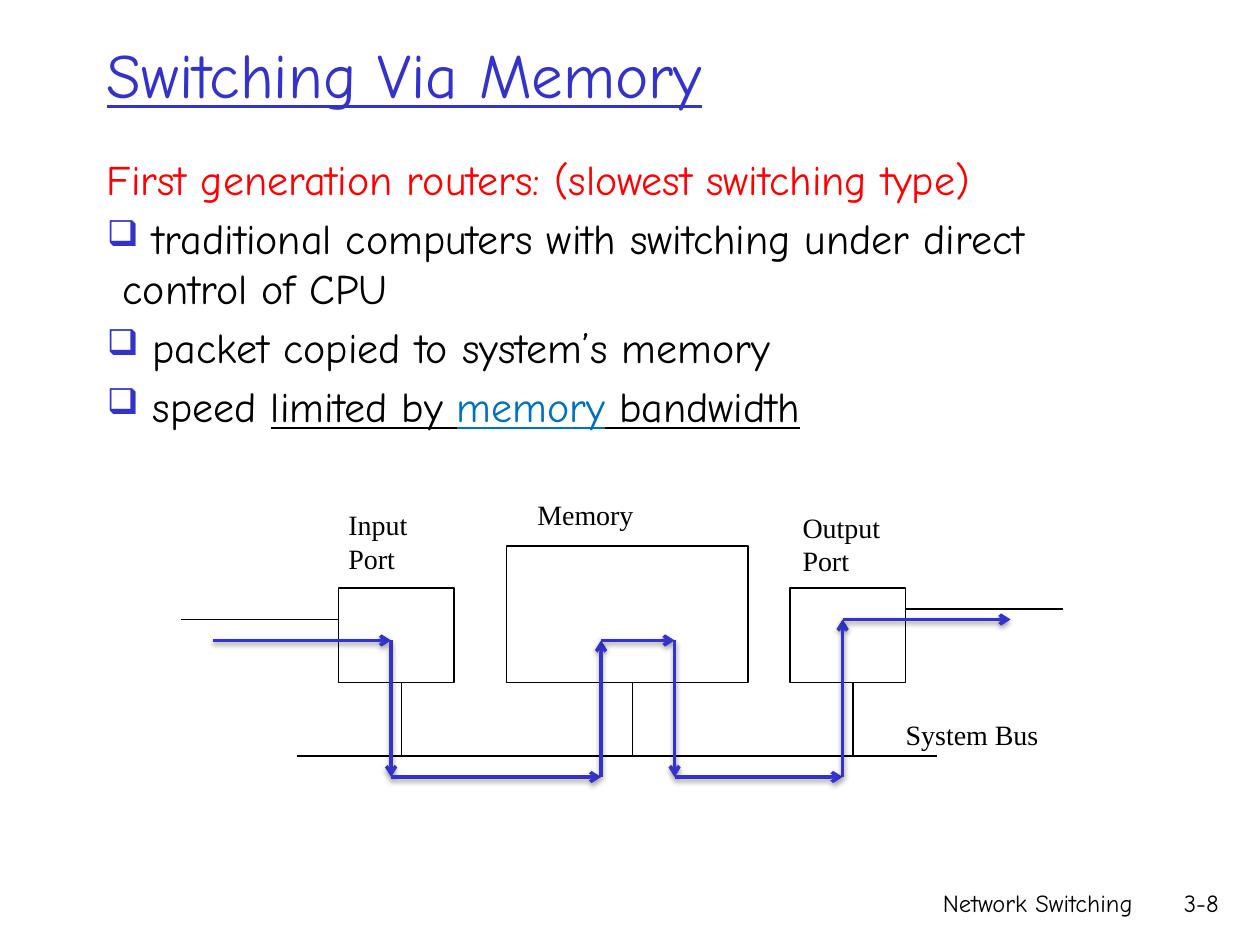
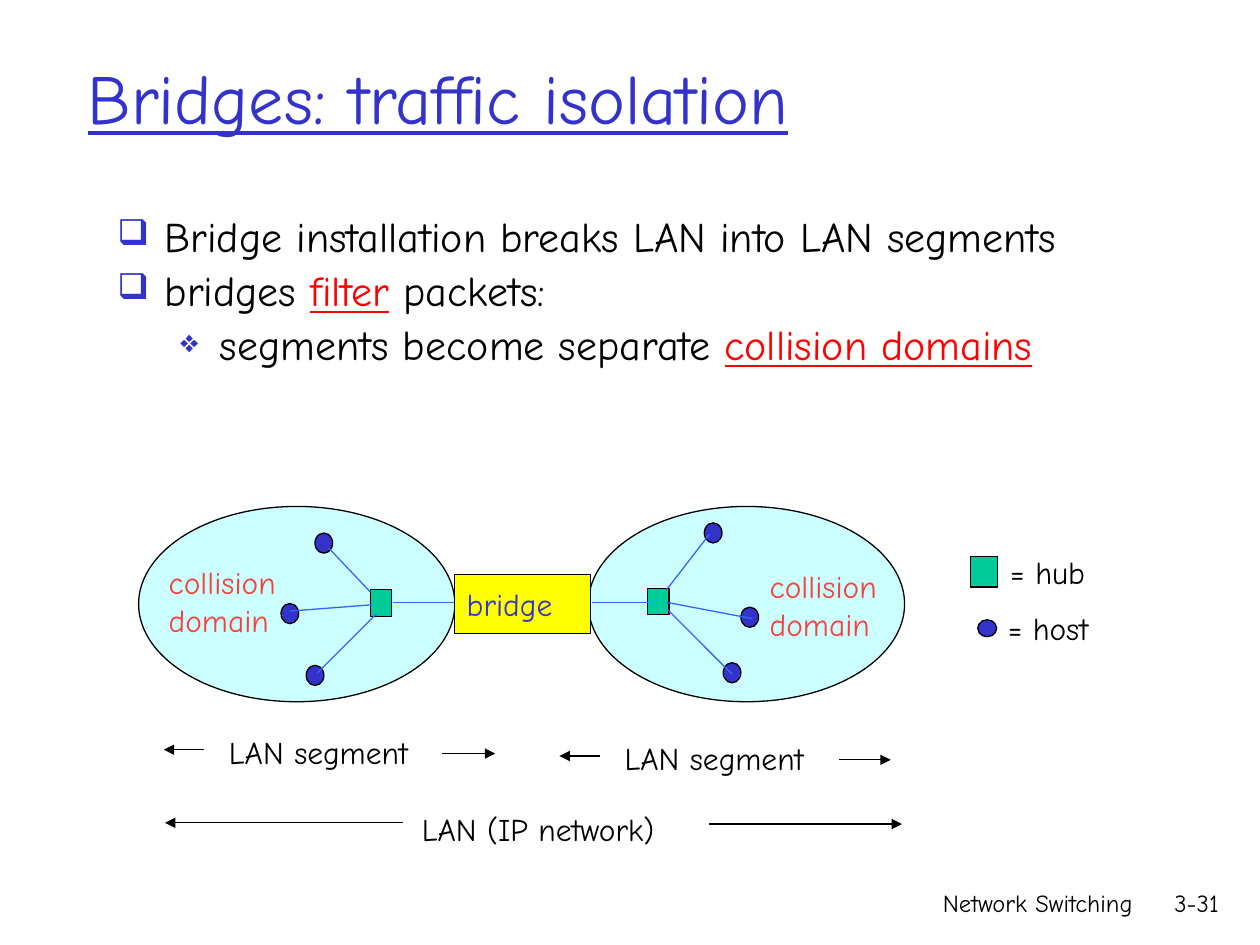
from dataclasses import dataclass
from itertools import pairwise

from lxml.etree import SubElement
from pptx import Presentation
from pptx.dml.color import RGBColor
from pptx.enum.shapes import MSO_CONNECTOR, MSO_SHAPE
from pptx.enum.text import MSO_ANCHOR as Anchor, MSO_AUTO_SIZE as AutoSize, PP_ALIGN as Align
from pptx.oxml.ns import qn
from pptx.util import Pt

COLORS = {
    "black": "000000", "title": "3333CC", "red": "FF0000", "blue": "0070C0",
    "domain": "CCFFFF", "bridge": "FFFF00", "hub": "00CC99", "host": "3333CC",
    "cable": "3366FF", "coral": "F9403B", "packet": "3333CC",
}
COMIC, TIMES = "Comic Neue", "Times New Roman"
RECT, OVAL = MSO_SHAPE.RECTANGLE, MSO_SHAPE.OVAL
HOST_SIZE, HUB_SIZE = (10.1, 11.5), (12.2, 15.1)


@dataclass
class Phrase:
    """A stretch of text in one format."""
    text: str
    color: str = "black"
    underline: bool = False


@dataclass
class Item:
    """A body paragraph; margin and hang are its indents in points."""
    phrases: list[Phrase]
    margin: float
    hang: float
    bullet: str = "❑"
    bullet_size: int = 85


@dataclass
class Label:
    """A small caption, one paragraph a line, sized to its text."""
    text: str
    box: tuple
    color: str = "black"
    font: str = COMIC
    size: int = 18


@dataclass
class Line:
    start: tuple
    end: tuple
    color: str = "black"
    width: float = 0.75
    head: str = ""
    shadow: bool = False


@dataclass
class Segment:
    """A collision domain: hub, hosts and the cables between them."""
    left: float
    hub: tuple
    hosts: list[tuple]
    cables: list[tuple]


def rgb(color: str) -> RGBColor:
    return RGBColor.from_string(COLORS[color])


def format_run(run, font: str, size: float, color: str, underline: bool = False) -> None:
    run.font.name, run.font.size = font, Pt(size)
    run.font.color.rgb = rgb(color)
    run.font.underline = underline


def add_text(slide, box: tuple, text: str, font: str, size: float, color: str,
             underline: bool = False):
    shape = slide.shapes.add_textbox(*map(Pt, box))
    shape.text_frame.word_wrap = True
    shape.text_frame.text = text
    for paragraph in shape.text_frame.paragraphs:
        for run in paragraph.runs:
            format_run(run, font, size, color, underline)
    return shape


def add_label(slide, label: Label) -> None:
    shape = add_text(slide, label.box, label.text, label.font, label.size, label.color)
    shape.text_frame.word_wrap = False
    shape.text_frame.auto_size = AutoSize.SHAPE_TO_FIT_TEXT


def add_title(slide, text: str, box: tuple, size: float) -> None:
    shape = add_text(slide, box, text, COMIC, size, "title", underline=True)
    shape.text_frame.vertical_anchor = Anchor.MIDDLE


def add_footer(slide, number: str) -> None:
    for text, box in (("Network Switching", (426.2, 504, 228.2, 36)),
                      (number, (646.6, 504, 56.9, 36))):
        shape = add_text(slide, box, text, COMIC, 14, "black")
        shape.text_frame.paragraphs[0].alignment = Align.RIGHT


def add_body(slide, box: tuple, items: list[Item], spacing: float = 1.0) -> None:
    frame = slide.shapes.add_textbox(*map(Pt, box)).text_frame
    frame.word_wrap = True
    for index, item in enumerate(items):
        paragraph = frame.add_paragraph() if index else frame.paragraphs[0]
        paragraph.space_before, paragraph.line_spacing = Pt(5), spacing
        for phrase in item.phrases:
            run = paragraph.add_run()
            run.text = phrase.text
            format_run(run, COMIC, 24, phrase.color, phrase.underline)
        # Indents and bullet
        properties = paragraph._p.get_or_add_pPr()
        properties.set("marL", str(Pt(item.margin)))
        properties.set("indent", str(-Pt(item.hang)))
        if item.bullet:
            color = SubElement(properties, qn("a:buClr"))
            SubElement(color, qn("a:srgbClr"), val=COLORS["title"])
            SubElement(properties, qn("a:buSzPct"), val=str(item.bullet_size * 1000))
            SubElement(properties, qn("a:buChar"), char=item.bullet)


def add_box(slide, kind, box: tuple, fill: str = ""):
    shape = slide.shapes.add_shape(kind, *map(Pt, box))
    shape.shadow.inherit = False
    if fill:
        shape.fill.solid()
        shape.fill.fore_color.rgb = rgb(fill)
    else:
        shape.fill.background()
    shape.line.color.rgb, shape.line.width = rgb("black"), Pt(0.75)
    return shape


def add_line(slide, line: Line) -> None:
    connector = slide.shapes.add_connector(
        MSO_CONNECTOR.STRAIGHT, *map(Pt, line.start + line.end))
    connector.line.color.rgb, connector.line.width = rgb(line.color), Pt(line.width)
    if line.head:
        SubElement(connector.line._get_or_add_ln(), qn("a:tailEnd"), type=line.head)
    effects = SubElement(connector._element.spPr, qn("a:effectLst"))
    if line.shadow:
        shadow = SubElement(effects, qn("a:outerShdw"), blurRad=str(Pt(3.1)),
                            dist=str(Pt(1.6)), dir="5400000", rotWithShape="0")
        color = SubElement(shadow, qn("a:srgbClr"), val=COLORS["black"])
        SubElement(color, qn("a:alpha"), val="38000")


def build_memory_slide(slide) -> None:
    add_footer(slide, "3-8")
    add_title(slide, "Switching Via Memory", (54, 18, 612, 48), 36)
    add_body(slide, (54, 84, 618, 203), [
        Item([Phrase("First generation routers: (slowest switching type)", "red")], 9, 9, ""),
        Item([Phrase(" traditional computers with switching under direct control of CPU")],
             9, 9),
        Item([Phrase(" packet copied to system’s memory")], 9, 9),
        Item([Phrase(" speed "), Phrase("limited by ", underline=True),
              Phrase("memory", "blue", True), Phrase(" bandwidth", underline=True)], 9, 9),
    ])

    # Ports and memory, standing on one base line above the bus
    base, bus = 390, 432
    for left, width, height in ((193.5, 66, 54), (451.5, 66, 54), (289.5, 138, 78)):
        add_box(slide, RECT, (left, base - height, width, height))
    add_line(slide, Line((169.5, bus), (535.5, bus)))
    for x in (229.5, 361.5, 487.5):
        add_line(slide, Line((x, base), (x, bus)))
    add_line(slide, Line((193.5, 354), (103.5, 354)))
    add_line(slide, Line((607.5, 348), (517.5, 348)))

    # Way of the packet
    route = [(121.5, 366), (223.5, 366), (223.5, 444), (343.5, 444), (343.5, 366),
             (385.5, 366), (385.5, 444), (481.5, 444), (481.5, 354), (577.5, 354)]
    for start, end in pairwise(route):
        add_line(slide, Line(start, end, "packet", 2, "arrow", True))

    for text, box in (("Input\nPort", (192, 286.5, 48.2, 46)),
                      ("Output\nPort", (451.5, 288, 59, 46)),
                      ("Memory", (300, 281, 69.8, 26.6)),
                      ("System Bus", (510.5, 406.5, 90.7, 26.6))):
        add_label(slide, Label(text, box, font=TIMES, size=16))


def build_bridge_slide(slide) -> None:
    add_title(slide, "Bridges: traffic isolation", (43.2, 10.1, 612, 90), 40)
    add_body(slide, (60, 120.2, 620.6, 162), [
        Item([Phrase("Bridge installation breaks LAN into LAN segments")], 27, 27),
        Item([Phrase("bridges "), Phrase("filter", "red", True), Phrase(" packets:")], 27, 27),
        Item([Phrase("segments become separate "), Phrase("collision domains", "red", True)],
             58.5, 22.5, "❖", 75),
    ], spacing=0.9)

    # Collision domains
    segments = [
        Segment(79.2, (211.7, 337), [(180, 304.6), (160.6, 344.9), (175, 380.2)],
                [((224.6, 344.2), (259.2, 344.2)), ((211.7, 338.4), (187.9, 313.2)),
                 ((212.4, 345.6), (165.6, 349.2)), ((215.3, 350.6), (181.4, 384.5))]),
        Segment(336.2, (370.1, 336.2), [(402.5, 298.8), (423.4, 347), (413.3, 378.7)],
                [((338.4, 344.2), (370.1, 344.2)), ((380.9, 337), (405.4, 305.3)),
                 ((380.9, 344.2), (429.8, 353.5)), ((381.6, 348.5), (418.3, 385.2))]),
    ]
    for segment in segments:
        add_box(slide, OVAL, (segment.left, 289.4, 180.7, 111.6), "domain")
    bridge = add_box(slide, RECT, (259.6, 328.3, 77.8, 33.8), "bridge")
    frame = bridge.text_frame
    frame.text, frame.word_wrap, frame.vertical_anchor = "bridge", False, Anchor.MIDDLE
    frame.paragraphs[0].alignment = Align.LEFT
    format_run(frame.paragraphs[0].runs[0], COMIC, 18, "title")
    for segment in segments:
        add_box(slide, RECT, segment.hub + HUB_SIZE, "hub")
        for host in segment.hosts:
            add_box(slide, OVAL, host + HOST_SIZE, "host")
        for start, end in segment.cables:
            add_line(slide, Line(start, end, "cable"))

    # Legend
    add_box(slide, RECT, (554.4, 318.2, 15.5, 17.3), "hub")
    add_box(slide, OVAL, (558.7, 354.2, 10.8, 9.7), "host")

    for label in (
        Label("collision\ndomain", (432.7, 320.4, 85.7, 50.4), "coral"),
        Label("collision\ndomain", (89.3, 318.2, 85.7, 50.4), "coral"),
        Label("= hub", (570.2, 312.5, 59, 28.8)),
        Label("= host", (568.8, 344.2, 66.2, 28.8)),
        Label("LAN (IP network)", (234, 459.4, 163.4, 28.8)),
        Label("LAN segment", (123.8, 415.4, 127.4, 28.8)),
        Label("LAN segment", (349.9, 419, 127.4, 28.8)),
    ):
        add_label(slide, label)

    # Extent arrows: start, end and height
    for start, end, y in ((230.4, 94.3, 470.2), (405.4, 515.5, 470.9),
                          (252.7, 283, 430.6), (116.6, 93.6, 428.4),
                          (479.5, 509, 434.2), (342.7, 319.7, 432)):
        add_line(slide, Line((start, y), (end, y), head="triangle"))
    add_footer(slide, "3-31")


def main() -> None:
    presentation = Presentation()
    presentation.slide_width, presentation.slide_height = Pt(720), Pt(540)
    for build in (build_memory_slide, build_bridge_slide):
        build(presentation.slides.add_slide(presentation.slide_layouts[6]))
    presentation.save("out.pptx")


if __name__ == "__main__":
    main()
